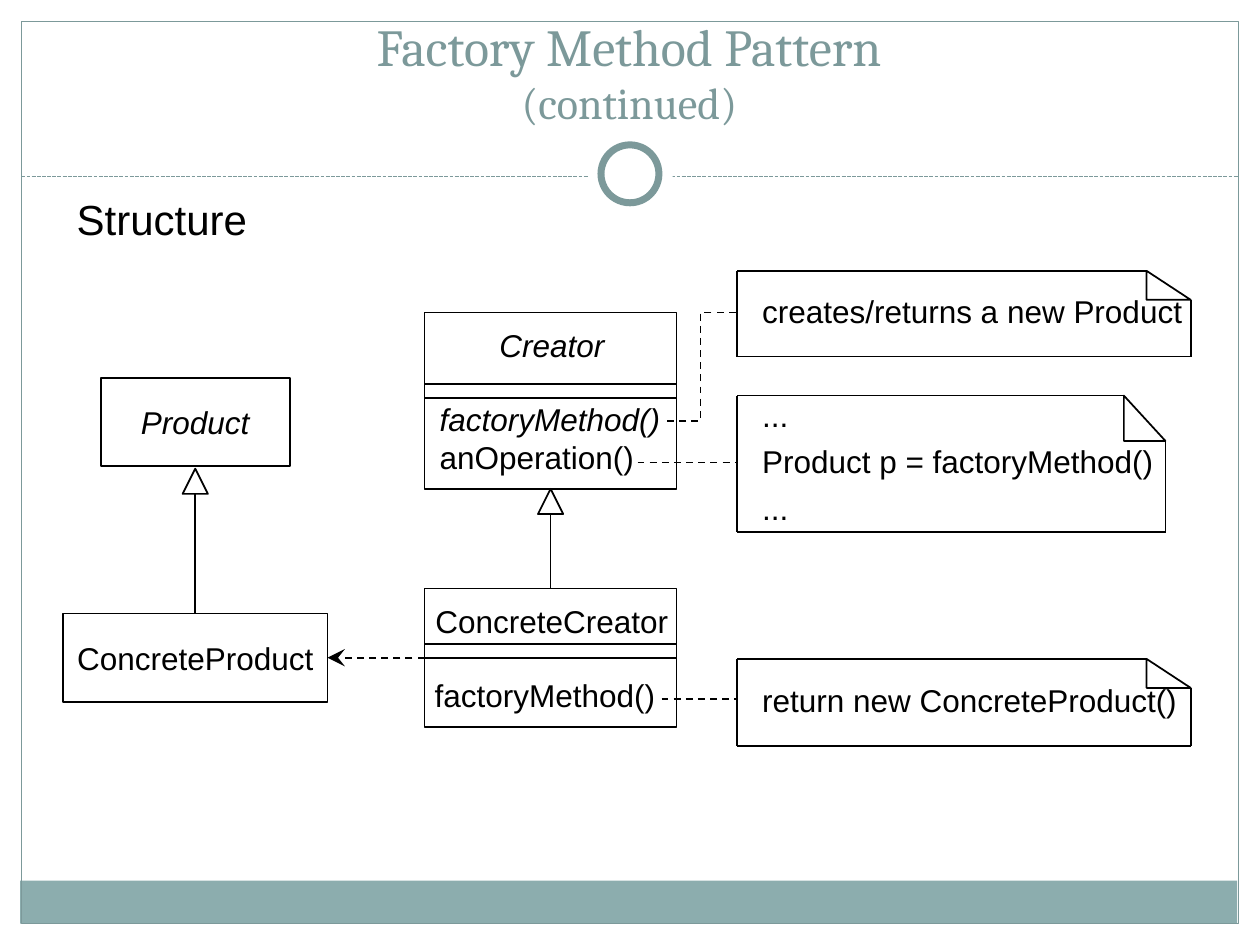
"""Builds a slide with the class diagram of the Factory Method pattern."""
from lxml.etree import SubElement
from pptx import Presentation
from pptx.dml.color import RGBColor
from pptx.enum.dml import MSO_LINE as Dash
from pptx.enum.shapes import MSO_CONNECTOR as Link, MSO_SHAPE as Preset
from pptx.enum.text import MSO_ANCHOR as Anchor, MSO_AUTO_SIZE as AutoSize, PP_ALIGN as Align
from pptx.oxml.ns import qn
from pptx.util import Inches, Pt

BLACK = RGBColor(0x00, 0x00, 0x00)
WHITE = RGBColor(0xFF, 0xFF, 0xFF)
TEAL = RGBColor(0x7C, 0x99, 0x9A)
BAND = RGBColor(0x8C, 0xAD, 0xAE)

BODY = {"name": "Arial", "size": Pt(18), "italic": False}
ITALIC = {**BODY, "italic": True}
HEADING = {**BODY, "size": Pt(24)}
CENTER = {"alignment": Align.CENTER}
LEFT = {"alignment": Align.LEFT}
MEMBER = {**LEFT, "space_before": Pt(21)}
NOTE_LINE = {**LEFT, "space_before": Pt(5)}

TITLE = [("Factory Method Pattern", 29.7), ("(continued)", 25.2)]

DECORATION = [
    (Preset.RECTANGLE, (0.16, 6.99, 9.66, 0.34), BAND, None, 0),
    (Preset.RECTANGLE, (0.17, 0.17, 9.66, 7.16), None, TEAL, 0.75),
    (Preset.OVAL, (4.67, 1.05, 0.67, 0.67), WHITE, None, 0),
    (Preset.OVAL, (4.77, 1.15, 0.46, 0.46), WHITE, TEAL, 4),
]

CLASSES = [
    {"box": (0.8, 3, 1.5, 0.7), "insets": (0.1, 0.1), "rules": [],
     "lines": [("Product", ITALIC, CENTER)]},
    {"box": (0.5, 4.87, 2.1, 0.7), "insets": (0.1, 0.1), "rules": [],
     "lines": [("ConcreteProduct", BODY, CENTER)]},
    {"box": (3.37, 2.48, 2, 1.4), "insets": (0.12, 0.1), "rules": [3.05, 3.16],
     "lines": [("Creator", ITALIC, CENTER), ("factoryMethod()", ITALIC, MEMBER),
               ("anOperation()", BODY, LEFT)]},
    {"box": (3.37, 4.67, 2, 1.1), "insets": (0.08, 0.06), "rules": [5.11, 5.22],
     "lines": [("ConcreteCreator", BODY, CENTER), ("factoryMethod()", BODY, MEMBER)]},
]

NOTE_LEFT = 5.85
NOTES = [
    {"top": 2.15, "size": (3.6, 0.68), "fold": (0.35, 0.23),
     "lines": ["creates/returns a new Product"]},
    {"top": 3.14, "size": (3.4, 1.08), "fold": (0.33, 0.36),
     "lines": ["...", "Product p = factoryMethod()", "..."]},
    {"top": 5.23, "size": (3.6, 0.69), "fold": (0.35, 0.23),
     "lines": ["return new ConcreteProduct()"]},
]

INHERITANCE = [(1.55, 3.72, 4.87), (4.37, 3.88, 4.67)]
ARROW_SIZE = 0.2

NOTE_LINKS = [
    (Link.ELBOW, (5.84, 2.48), (5.28, 3.34)),
    (Link.STRAIGHT, (5.06, 3.67), (NOTE_LEFT, 3.67)),
    (Link.STRAIGHT, (5.25, 5.55), (NOTE_LEFT, 5.55)),
]


def apply(target, values):
    for name, value in values.items():
        setattr(target, name, value)


def add_shape(shapes, preset, box, fill=None, line=BLACK, width=1):
    shape = shapes.add_shape(preset, *map(Inches, box))
    shape.shadow.inherit = False
    if fill is None:
        shape.fill.background()
    else:
        shape.fill.solid()
        shape.fill.fore_color.rgb = fill
    if line is None:
        shape.line.fill.background()
    else:
        shape.line.color.rgb = line
        shape.line.width = Pt(width)
    return shape


def add_line(shapes, start, end, kind=Link.STRAIGHT, color=BLACK, width=1, dash=None):
    line = shapes.add_connector(kind, *map(Inches, start + end))
    line.line.color.rgb = color
    line.line.width = Pt(width)
    line.line.dash_style = dash
    SubElement(line._element.spPr, qn("a:effectLst"))
    return line


def write(shape, lines, insets=(0.1, 0.1), wrap=False, anchor=Anchor.MIDDLE):
    frame = shape.text_frame
    left, right = map(Inches, insets)
    apply(frame, {"word_wrap": wrap, "vertical_anchor": anchor,
                  "margin_left": left, "margin_right": right})
    for index, (text, font, layout) in enumerate(lines):
        paragraph = frame.add_paragraph() if index else frame.paragraphs[0]
        apply(paragraph, layout)
        run = paragraph.add_run()
        run.text = text
        apply(run.font, font)
        run.font.color.rgb = BLACK


def add_title(slide):
    title = slide.shapes.title
    apply(title, dict(zip(("left", "top", "width", "height"),
                          map(Inches, (0.33, 0.25, 9.33, 0.83)))))
    apply(title.text_frame, {"auto_size": AutoSize.NONE, "vertical_anchor": Anchor.BOTTOM})
    paragraph = title.text_frame.paragraphs[0]
    apply(paragraph, {"alignment": Align.CENTER, "line_spacing": 0.97})
    for index, (text, size) in enumerate(TITLE):
        if index:
            paragraph.add_line_break()
        run = paragraph.add_run()
        run.text = text
        apply(run.font, {"name": "Cambria", "size": Pt(size)})
        run.font.color.rgb = TEAL


def add_class(shapes, item):
    left, _, width, _ = item["box"]
    shape = add_shape(shapes, Preset.RECTANGLE, item["box"])
    write(shape, item["lines"], item["insets"], wrap=bool(item["rules"]))
    for y in item["rules"]:
        add_line(shapes, (left, y), (left + width, y))


def add_note(shapes, note):
    group = shapes.add_group_shape().shapes
    top, (width, height), (fold_width, fold_height) = note["top"], note["size"], note["fold"]
    right, bottom = NOTE_LEFT + width, top + height
    fold_left = right - fold_width
    box = (NOTE_LEFT + 0.1, top - 0.02, width - 0.12, height)
    text_box = group.add_textbox(*map(Inches, box))
    write(text_box, [(text, BODY, NOTE_LINE if index else LEFT)
                     for index, text in enumerate(note["lines"])], (0.1, 0), wrap=True)
    add_shape(group, Preset.RIGHT_TRIANGLE, (fold_left, top, fold_width, fold_height))
    corners = [(fold_left, top), (NOTE_LEFT, top), (NOTE_LEFT, bottom),
               (right, bottom), (right, top + fold_height)]
    for start, end in zip(corners, corners[1:]):
        add_line(group, start, end)


def main():
    presentation = Presentation()
    presentation.slide_width, presentation.slide_height = Inches(10), Inches(7.5)
    slide = presentation.slides.add_slide(presentation.slide_layouts[5])
    shapes = slide.shapes
    add_title(slide)

    add_line(shapes, (0.17, 1.4), (9.83, 1.4), color=TEAL, width=0.75, dash=Dash.SQUARE_DOT)
    for decoration in DECORATION:
        add_shape(shapes, *decoration)

    heading = shapes.add_textbox(*map(Inches, (0.5, 1.49, 1.57, 0.5)))
    write(heading, [("Structure", HEADING, CENTER)], anchor=Anchor.TOP)
    for item in CLASSES:
        add_class(shapes, item)
    for note in NOTES:
        add_note(shapes, note)

    for x, top, bottom in INHERITANCE:
        add_shape(shapes, Preset.ISOSCELES_TRIANGLE,
                  (x - ARROW_SIZE / 2, top, ARROW_SIZE, ARROW_SIZE))
        add_line(shapes, (x, top + ARROW_SIZE), (x, bottom))
    for kind, start, end in NOTE_LINKS:
        add_line(shapes, start, end, kind, dash=Dash.DASH)
    creation = add_line(shapes, (3.37, 5.22), (2.6, 5.22), dash=Dash.DASH)
    SubElement(creation.line._get_or_add_ln(), qn("a:tailEnd"), type="stealth", w="lg", len="lg")

    presentation.save("out.pptx")


if __name__ == "__main__":
    main()
